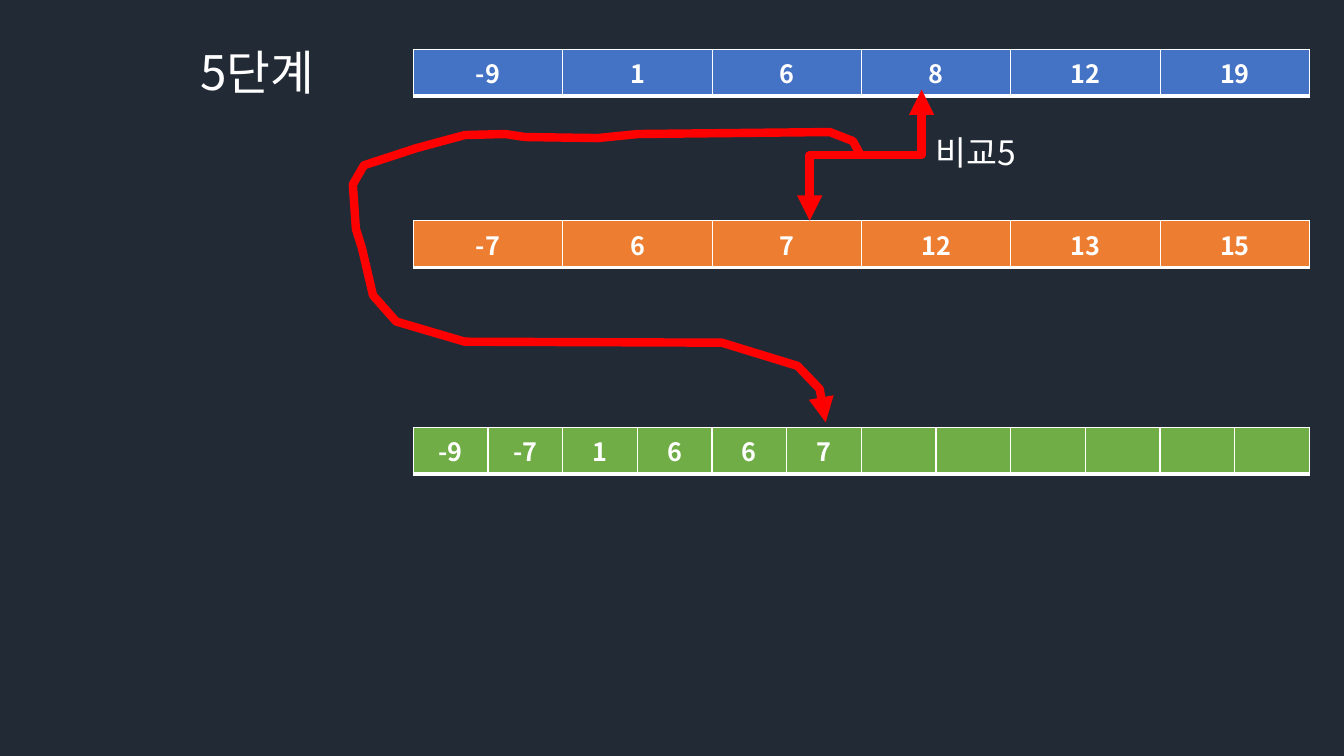
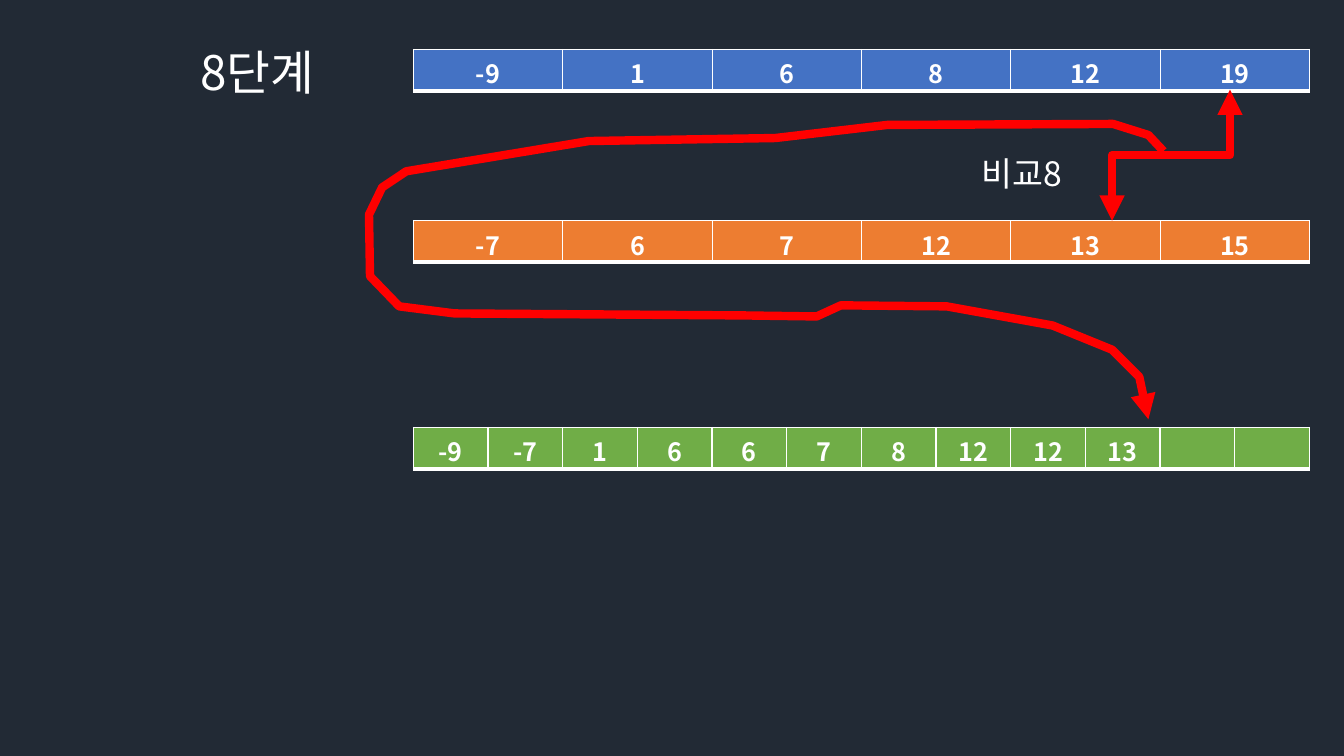
from lxml import etree
from pptx import Presentation
from pptx import util as u
from pptx.dml.color import RGBColor
from pptx.enum import shapes, text
from pptx.oxml import ns

# The grid has 100 columns and 100 rows to the inch.
GRID = u.Inches(0.01)
SLIDE_COLUMNS, SLIDE_ROWS = 1333, 750

FONT = "Noto Sans CJK KR"
NAVY = RGBColor(0x22, 0x2A, 0x35)
WHITE = RGBColor(0xFF, 0xFF, 0xFF)
BLUE = RGBColor(0x44, 0x72, 0xC4)
ORANGE = RGBColor(0xED, 0x7D, 0x31)
GREEN = RGBColor(0x70, 0xAD, 0x47)
RED = RGBColor(0xFF, 0x00, 0x00)

ARRAY_LEFT, ARRAY_WIDTH, ARRAY_HEIGHT = 410, 889, 41
FIRST_TOP, SECOND_TOP, MERGED_TOP = 49, 219, 424
FIRST = [-9, 1, 6, 8, 12, 19]
SECOND = [-7, 6, 7, 12, 13, 15]
MERGED = sorted(FIRST + SECOND)
BORDER_POINTS = {"lnL": 1, "lnR": 1, "lnT": 1, "lnB": 3}
ARROW_POINTS = 6
COMPARE_TOP = 89

STEPS = [
    {
        "number": 5,
        "merged_count": 6,
        "label_at": (918, 126),
        "compare_columns": (803, 914),
        "route": [
            (853, 153), (846, 140), (823, 131), (633, 133), (593, 137),
            (521, 136), (501, 133), (461, 134), (413, 147), (361, 164),
            (350, 183), (353, 227), (359, 246), (370, 293), (393, 319),
            (461, 339), (716, 340), (791, 363), (813, 386), (819, 419),
        ],
    },
    {
        "number": 8,
        "merged_count": 10,
        "label_at": (964, 147),
        "compare_columns": (1103, 1220),
        "route": [
            (1154, 150), (1139, 134), (1104, 123), (880, 124), (769, 137),
            (584, 140), (403, 170), (379, 186), (366, 213), (367, 274),
            (396, 304), (451, 311), (737, 313), (810, 314), (834, 303),
            (939, 304), (1044, 323), (1103, 347), (1130, 374), (1139, 416),
        ],
    },
]


def write_text(frame, words, size=18, bold=False, color=WHITE,
               align=text.PP_ALIGN.LEFT):
    """Write one formatted run into the first paragraph of a text frame."""
    paragraph = frame.paragraphs[0]
    paragraph.alignment = align
    run = paragraph.add_run()
    run.text = words
    run.font.name = FONT
    run.font.size = u.Pt(size)
    run.font.bold = bold
    run.font.color.rgb = color
    east_asian = etree.SubElement(run.font._element, ns.qn("a:ea"))
    east_asian.set("typeface", FONT)


def add_label(slide, words, left, top, width, height, size):
    """Add a text box that grows with its text."""
    box = slide.shapes.add_textbox(left * GRID, top * GRID,
                                   width * GRID, height * GRID)
    box.text_frame.word_wrap = True
    box.text_frame.auto_size = text.MSO_AUTO_SIZE.SHAPE_TO_FIT_TEXT
    write_text(box.text_frame, words, size=size)


def add_borders(cell):
    """Draw the white borders of a cell, heavier at the bottom."""
    properties = cell._tc.get_or_add_tcPr()
    for side, points in BORDER_POINTS.items():
        line = etree.SubElement(properties, ns.qn(f"a:{side}"),
                                w=str(u.Pt(points)))
        fill = etree.SubElement(line, ns.qn("a:solidFill"))
        etree.SubElement(fill, ns.qn("a:srgbClr"), val=str(WHITE))


def add_array(slide, values, length, top, color):
    """Add a one-row table of equal cells, filled from the left."""
    frame = slide.shapes.add_table(1, length, ARRAY_LEFT * GRID, top * GRID,
                                   ARRAY_WIDTH * GRID, ARRAY_HEIGHT * GRID)
    table = frame.table
    table.first_row = table.horz_banding = False
    for column in table.columns:
        column.width = ARRAY_WIDTH * GRID // length
    for index in range(length):
        cell = table.cell(0, index)
        add_borders(cell)
        cell.fill.solid()
        cell.fill.fore_color.rgb = color
        if index < len(values):
            write_text(cell.text_frame, str(values[index]), bold=True,
                       align=text.PP_ALIGN.CENTER)


def style_arrow(line, ends):
    """Make a line thick and red, with triangles at the named ends."""
    line.color.rgb = RED
    line.width = u.Pt(ARROW_POINTS)
    for end in ends:
        etree.SubElement(line._get_or_add_ln(), ns.qn(f"a:{end}"),
                         type="triangle")


def add_comparison(slide, second_column, first_column):
    """Join the two compared cells with a double-headed elbow arrow."""
    across = first_column - second_column
    down = SECOND_TOP - COMPARE_TOP
    center_x = (first_column + second_column) / 2
    center_y = (SECOND_TOP + COMPARE_TOP) / 2
    # The elbow lies on its side, so its width is the vertical distance.
    corners = [center_x + down / 2, center_y + across / 2,
               center_x - down / 2, center_y - across / 2]
    connector = slide.shapes.add_connector(
        shapes.MSO_CONNECTOR.ELBOW, *[int(value * GRID) for value in corners])
    properties = connector._element.spPr
    properties.xfrm.rot = 90
    style_arrow(connector.line, ["headEnd", "tailEnd"])
    etree.SubElement(properties, ns.qn("a:effectLst"))


def add_route(slide, points):
    """Draw the winding arrow from the comparison to the merged array."""
    builder = slide.shapes.build_freeform(*points[0], scale=GRID)
    builder.add_line_segments(points[1:], close=False)
    route = builder.convert_to_shape()
    route.shadow.inherit = False
    route.fill.background()
    style_arrow(route.line, ["tailEnd"])


def add_step(presentation, step):
    """Add the slide of one merge step."""
    slide = presentation.slides.add_slide(presentation.slide_layouts[6])
    slide.background.fill.solid()
    slide.background.fill.fore_color.rgb = NAVY
    add_array(slide, FIRST, len(FIRST), FIRST_TOP, BLUE)
    add_array(slide, SECOND, len(SECOND), SECOND_TOP, ORANGE)
    add_array(slide, MERGED[:step["merged_count"]], len(MERGED), MERGED_TOP,
              GREEN)
    add_label(slide, f"{step['number']}단계", 189, 38, 152, 67, size=34)
    add_label(slide, f"비교{step['number']}", *step["label_at"], 130, 50,
              size=24)
    add_comparison(slide, *step["compare_columns"])
    add_route(slide, step["route"])


def main():
    """Build and save the merge-step slides."""
    presentation = Presentation()
    presentation.slide_width = SLIDE_COLUMNS * GRID
    presentation.slide_height = SLIDE_ROWS * GRID
    for step in STEPS:
        add_step(presentation, step)
    presentation.save("out.pptx")


main()
